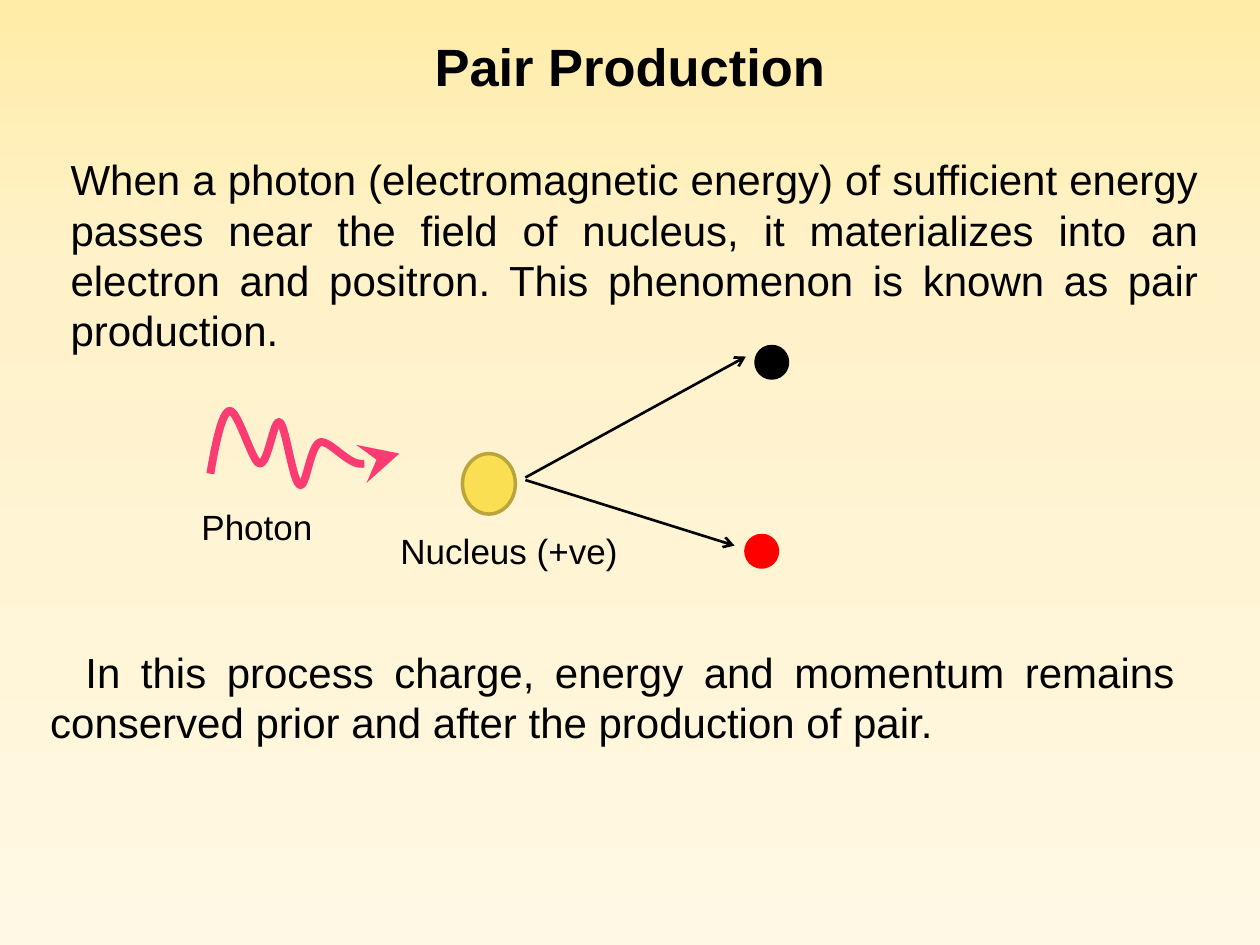
from lxml.etree import SubElement
from pptx import Presentation
from pptx.dml.color import RGBColor
from pptx.enum.shapes import MSO_CONNECTOR, MSO_SHAPE
from pptx.enum.text import MSO_ANCHOR, MSO_AUTO_SIZE, PP_ALIGN
from pptx.oxml import parse_xml
from pptx.oxml.ns import nsdecls, qn
from pptx.util import Inches, Pt


def color(value):
    return RGBColor.from_string(value)


def write(shape, text, size, box=None, bold=False, align=PP_ALIGN.LEFT,
          anchor=MSO_ANCHOR.TOP, wrap=True, indent=0):
    if box:
        shape.left, shape.top, shape.width, shape.height = map(Inches, box)
    frame = shape.text_frame
    frame.text = text
    frame.word_wrap = wrap
    frame.auto_size = MSO_AUTO_SIZE.NONE
    frame.vertical_anchor = anchor
    paragraph = frame.paragraphs[0]
    paragraph.alignment = align
    paragraph.space_before = Pt(0)
    properties = paragraph._p.get_or_add_pPr()
    properties.set("marL", str(Inches(0.38) if align == PP_ALIGN.JUSTIFY else 0))
    properties.set("indent", str(Inches(indent)))
    SubElement(properties, qn("a:buNone"))
    font = paragraph.font
    font.name, font.size, font.bold = "Arial", Pt(size), bold
    font.color.rgb = color("000000")


presentation = Presentation()
presentation.slide_width, presentation.slide_height = Inches(10), Inches(7.5)
slide = presentation.slides.add_slide(presentation.slide_layouts[1])
shapes = slide.shapes

# Background gradient with three stops
fill = slide.background.fill
fill.gradient()
fill.gradient_angle = 270
stops = fill.gradient_stops._gsLst
for stop in list(stops):
    stops.remove(stop)
for position, value in [(0, "FFECA7"), (28, "FFF2C9"), (100, "FFF8E4")]:
    stops.append(parse_xml(
        f'<a:gs {nsdecls("a")} pos="{position * 1000}"><a:srgbClr val="{value}"/></a:gs>'))

# Title and paragraphs
write(shapes.title, "Pair Production", 30, (0.5, 0.17, 9, 0.7), bold=True,
      align=PP_ALIGN.CENTER, anchor=MSO_ANCHOR.MIDDLE)
write(slide.placeholders[1],
      "When a photon (electromagnetic energy) of sufficient energy passes near the "
      "field of nucleus, it materializes into an electron and positron. This "
      "phenomenon is known as pair production.",
      24, (0.08, 1.17, 9.53, 1.83), align=PP_ALIGN.JUSTIFY)
conclusion = shapes.add_textbox(Inches(-0.08), Inches(5.08), Inches(9.5), Inches(1))
write(conclusion,
      "In this process charge, energy and momentum remains conserved prior and "
      "after the production of pair.",
      24, align=PP_ALIGN.JUSTIFY, indent=0.28)

# Photon wave: Bezier curves sampled into short segments
wave_start = (1.67, 3.76)
wave_curves = [
    [(1.71, 3.52), (1.76, 3.28), (1.82, 3.26)],
    [(1.89, 3.25), (2, 3.67), (2.06, 3.68)],
    [(2.13, 3.69), (2.17, 3.32), (2.22, 3.35)],
    [(2.27, 3.38), (2.32, 3.82), (2.38, 3.85)],
    [(2.43, 3.88), (2.46, 3.54), (2.54, 3.51)],
    [(2.61, 3.49), (2.75, 3.67), (2.85, 3.68)],
    [(2.96, 3.69), (3.06, 3.65), (3.17, 3.6)],
]
steps = 12
wave_points = []
start = wave_start
for first, second, end in wave_curves:
    for step in range(1, steps + 1):
        t = step / steps
        wave_points.append(tuple(
            Inches((1 - t) ** 3 * a + 3 * (1 - t) ** 2 * t * b
                   + 3 * (1 - t) * t ** 2 * c + t ** 3 * d)
            for a, b, c, d in zip(start, first, second, end)))
    start = end
builder = shapes.build_freeform(*map(Inches, wave_start))
builder.add_line_segments(wave_points, close=False)
wave = builder.convert_to_shape()
wave.shadow.inherit = False
wave.fill.background()
wave.line.color.rgb = color("FA3C72")
wave.line.width = Pt(4.5)
SubElement(wave.line._get_or_add_ln(), qn("a:round"))
SubElement(wave.line._get_or_add_ln(), qn("a:tailEnd"), type="stealth", w="lg", len="lg")

# Paths of the two particles
for x1, y1, x2, y2 in [(4.17, 3.79, 5.92, 2.83), (4.17, 3.81, 5.83, 4.33)]:
    arrow = shapes.add_connector(MSO_CONNECTOR.STRAIGHT, *map(Inches, (x1, y1, x2, y2)))
    arrow.line.color.rgb = color("000000")
    arrow.line.width = Pt(1.5)
    SubElement(arrow.line._get_or_add_ln(), qn("a:tailEnd"), type="arrow")
    SubElement(arrow._element.spPr, qn("a:effectLst"))

# Nucleus, positron and electron
for x, y, width, height, fill_color, line_color in [
    (3.67, 3.6, 0.42, 0.48, "FBDF53", "BAA53D"),
    (5.92, 4.25, 0.25, 0.25, "FF0000", "FF0000"),
    (6, 2.75, 0.25, 0.25, "000000", "000000"),
]:
    particle = shapes.add_shape(MSO_SHAPE.OVAL, *map(Inches, (x, y, width, height)))
    particle.shadow.inherit = False
    particle.fill.solid()
    particle.fill.fore_color.rgb = color(fill_color)
    particle.line.color.rgb = color(line_color)
    particle.line.width = Pt(2)

# Labels
for text, x, y, width in [("Photon", 1.5, 3.96, 1.09), ("Nucleus (+ve)", 3.08, 4.15, 1.94)]:
    label = shapes.add_textbox(Inches(x), Inches(y), Inches(width), Inches(0.44))
    write(label, text, 20, wrap=False)

presentation.save("out.pptx")
